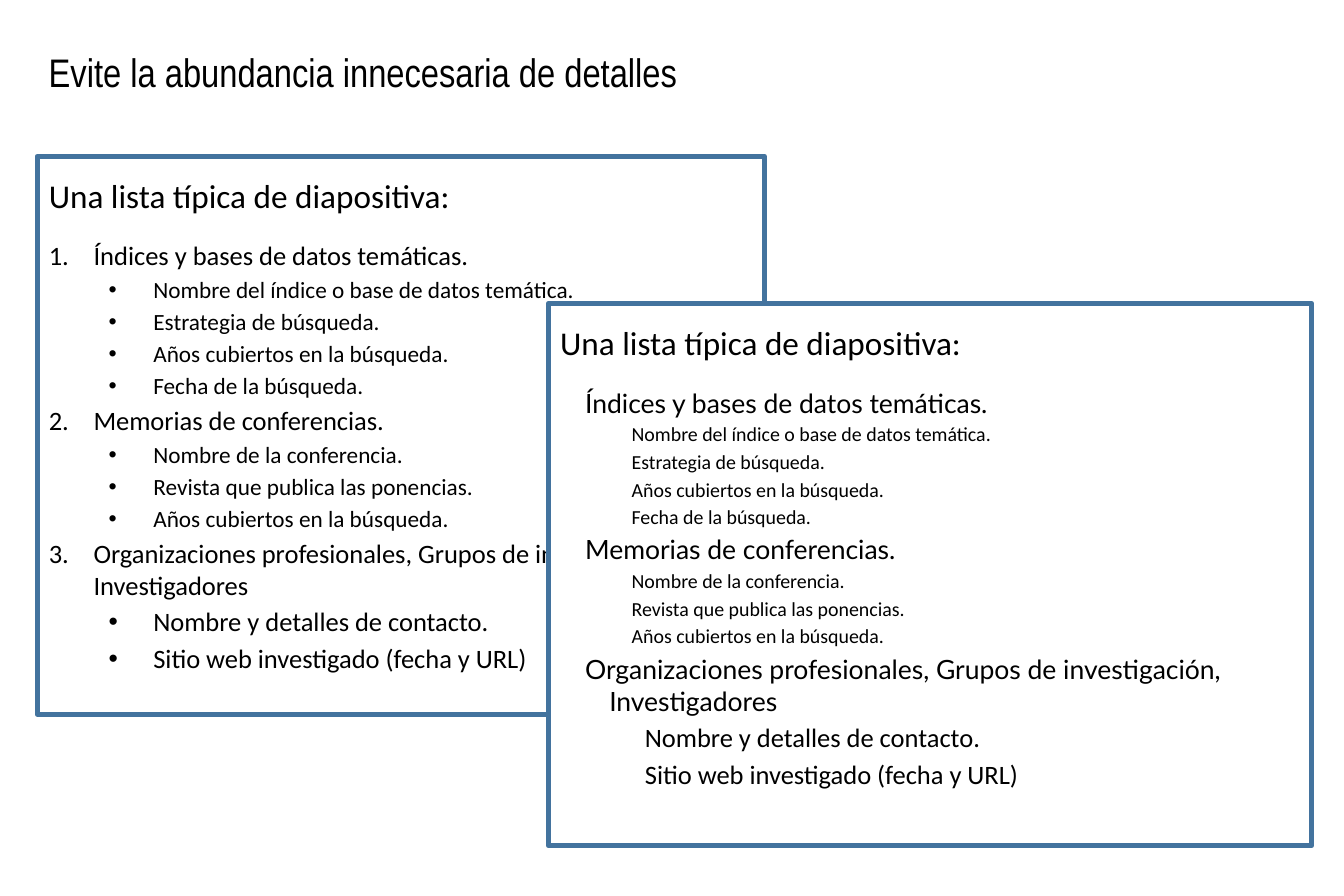
from dataclasses import dataclass, replace

from lxml.etree import SubElement
from pptx import Presentation
from pptx.dml.color import RGBColor
from pptx.enum.shapes import MSO_SHAPE
from pptx.enum.text import MSO_ANCHOR, PP_ALIGN
from pptx.oxml.ns import qn
from pptx.shapes.autoshape import Shape
from pptx.slide import Slide
from pptx.util import Pt


@dataclass(frozen=True)
class Look:
    size: float
    font: str = "Calibri"
    left: float = 0
    hang: float = 0
    align: PP_ALIGN = PP_ALIGN.LEFT
    mark: str = ""
    level: int = 0


@dataclass(frozen=True)
class Topic:
    head: str
    points: tuple[str, ...]


@dataclass(frozen=True)
class Panel:
    left: float
    top: float
    width: float
    height: float
    shift: float
    looks: tuple[tuple[Look, Look], ...]


TITLE = "Evite la abundancia innecesaria de detalles"
LABEL = "Una lista típica de diapositiva:"
TOPICS = (
    Topic("Índices y bases de datos temáticas.", (
        "Nombre del índice o base de datos temática.",
        "Estrategia de búsqueda.",
        "Años cubiertos en la búsqueda.",
        "Fecha de la búsqueda.",
    )),
    Topic("Memorias de conferencias.", (
        "Nombre de la conferencia.",
        "Revista que publica las ponencias.",
        "Años cubiertos en la búsqueda.",
    )),
    Topic("Organizaciones profesionales, Grupos de investigación, Investigadores", (
        "Nombre y detalles de contacto.",
        "Sitio web investigado (fecha y URL)",
    )),
)

NUMBER = Look(16, left=27, hang=27, mark="number")
BULLET = Look(14, left=63, hang=27, mark="bullet", level=1)
PLAIN = Look(16, "Lato", 27, 27, PP_ALIGN.JUSTIFY)
DETAIL = Look(12, left=42.5, hang=14.5, align=PP_ALIGN.JUSTIFY, level=1)
LAST = replace(DETAIL, size=16, left=63, hang=27)
WRAPPED = replace(PLAIN, left=14.5, hang=14.5, align=PP_ALIGN.LEFT)

PANELS = (
    Panel(22.3, 94.3, 438.5, 336.2, 0, (
        (NUMBER, BULLET), (NUMBER, BULLET), (NUMBER, replace(BULLET, size=16)))),
    Panel(330.5, 182.9, 460.1, 326.9, 15.1, (
        (PLAIN, DETAIL), (PLAIN, DETAIL), (WRAPPED, LAST))),
)


def paint(code: str) -> RGBColor:
    return RGBColor.from_string(code)


def add_box(shapes, left: float, top: float, width: float, height: float) -> Shape:
    box = shapes.add_textbox(Pt(left), Pt(top), Pt(width), Pt(height))
    box.text_frame.word_wrap = True
    return box


def write(box: Shape, lines: list[tuple[str, Look]]) -> None:
    frame = box.text_frame
    frame.text = "\n".join(text for text, _ in lines)
    for index, (line, (_, look)) in enumerate(zip(frame.paragraphs, lines)):
        props = line._p.get_or_add_pPr()
        props.set("marL", str(Pt(look.left)))
        props.set("indent", str(-Pt(look.hang)))
        if look.mark == "number":
            SubElement(props, qn("a:buAutoNum"), type="arabicPeriod")
        elif look.mark == "bullet":
            SubElement(props, qn("a:buFont"), typeface="Arial")
            SubElement(props, qn("a:buChar"), char="•")
        line.level = look.level
        line.alignment = look.align
        if index:
            line.space_before = Pt(round(look.size * 0.18, 1))
        for run in line.runs:
            run.font.size = Pt(look.size)
            run.font.name = look.font
            run.font.color.rgb = paint("000000")


def draw(slide: Slide, panel: Panel) -> None:
    shapes = slide.shapes.add_group_shape().shapes
    card = shapes.add_shape(
        MSO_SHAPE.RECTANGLE, Pt(panel.left), Pt(panel.top), Pt(panel.width), Pt(panel.height))
    card.shadow.inherit = False
    card.fill.solid()
    card.fill.fore_color.rgb = paint("FFFFFF")
    card.line.color.rgb = paint("43739E")
    card.line.width = Pt(3)
    label = add_box(shapes, panel.left, panel.top + 7.9, panel.width, 38.5)
    write(label, [(LABEL, Look(20))])
    lines = []
    for topic, (head, point) in zip(TOPICS, panel.looks):
        lines.append((topic.head, head))
        lines.extend((text, point) for text in topic.points)
    body = add_box(
        shapes, panel.left + panel.shift, panel.top + 46.5, panel.width - panel.shift, 100)
    write(body, lines)


def main() -> None:
    deck = Presentation()
    deck.slide_width, deck.slide_height = Pt(810), Pt(540)
    slide = deck.slides.add_slide(deck.slide_layouts[6])
    title = add_box(slide.shapes, 22.3, 22.3, 737.3, 45.4)
    title.text_frame.vertical_anchor = MSO_ANCHOR.MIDDLE
    write(title, [(TITLE, Look(24, "Arial Narrow"))])
    title.text_frame.paragraphs[0].line_spacing = 0.9
    for panel in PANELS:
        draw(slide, panel)
    deck.save("out.pptx")


if __name__ == "__main__":
    main()
